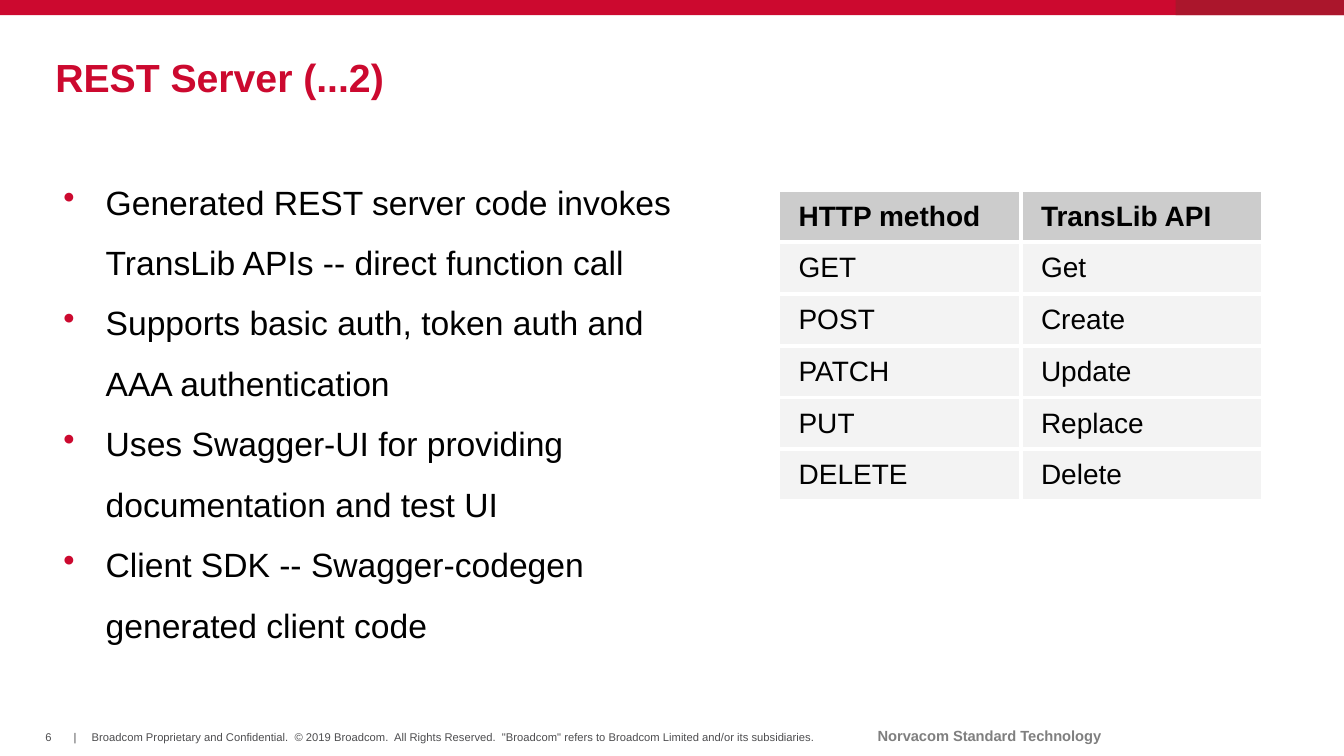
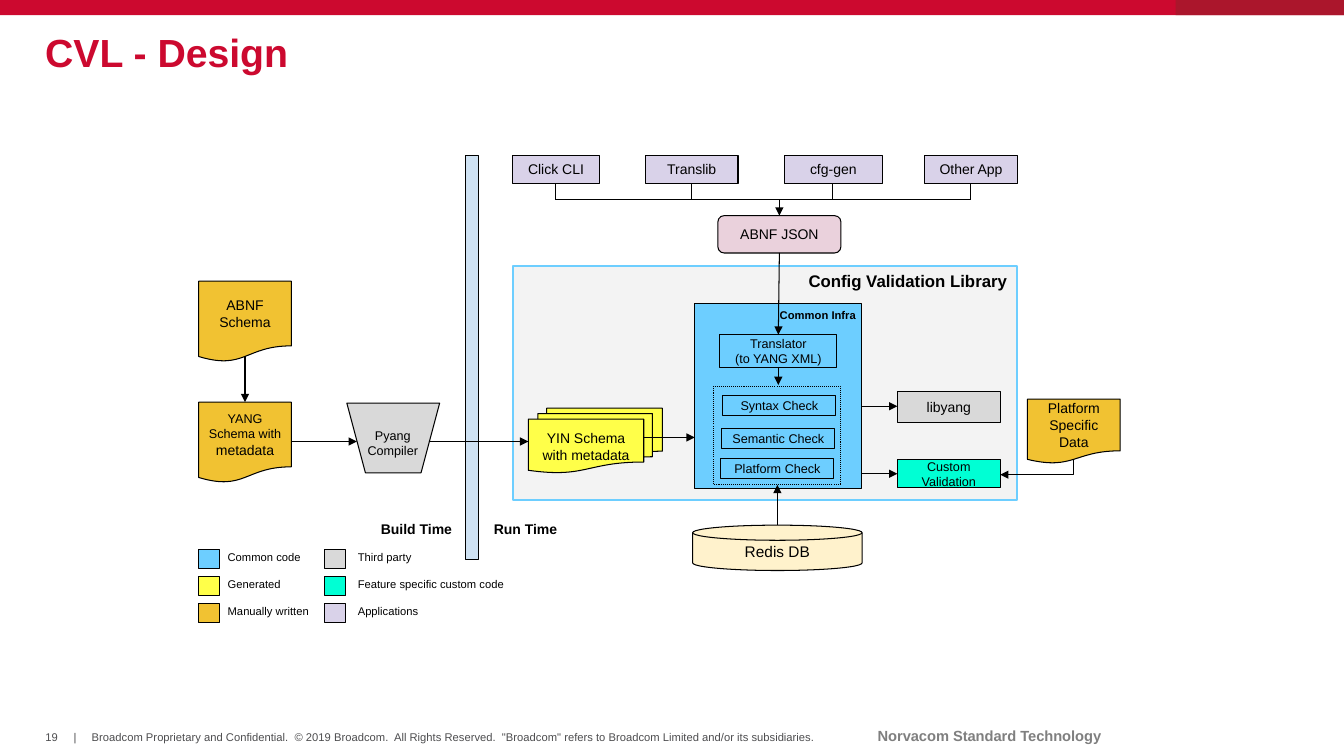
from dataclasses import dataclass

from lxml.etree import SubElement
from pptx import Presentation
from pptx.dml.color import RGBColor as RGB
from pptx.enum.dml import MSO_LINE
from pptx.enum.shapes import MSO_CONNECTOR as CONN, MSO_SHAPE as SHAPE
from pptx.enum.text import MSO_ANCHOR as ANCHOR, PP_ALIGN as ALIGN
from pptx.oxml.ns import qn
from pptx.util import Pt

PX = 9144


@dataclass(frozen=True)
class Theme:
    """Colours, font and type sizes of the deck."""
    font: str = "Arial"
    red: str = "CC092F"
    dark_red: str = "AB162C"
    black: str = "000000"
    white: str = "FFFFFF"
    footer: str = "4D4D4F"
    tag: str = "7F7F7F"
    head_row: str = "CCCCCC"
    pale: str = "F3F3F3"
    common: str = "6DCEFF"
    generated: str = "FFFF49"
    manual: str = "F1C232"
    third: str = "D9D9D9"
    custom: str = "00FFD4"
    app: str = "D9D2E9"
    divider: str = "CFE2F3"
    json: str = "EAD1DC"
    store: str = "FFF2CC"
    title_pt: float = 28
    body_pt: float = 24
    table_pt: float = 20
    panel_pt: float = 12
    store_pt: float = 11
    tag_pt: float = 10.5
    node_pt: float = 10
    small_pt: float = 9
    tiny_pt: float = 8


T = Theme()


@dataclass(frozen=True)
class Box:
    """A rectangle in px that can place others inside itself."""
    x: int
    y: int
    w: int
    h: int

    def sub(self, dx, dy, w, h):
        """Return a box offset from this one's corner."""
        return Box(self.x + dx, self.y + dy, w, h)

    def emu(self):
        """Return left, top, width and height in EMU."""
        return [v * PX for v in (self.x, self.y, self.w, self.h)]


def style(font, size, color=T.black, bold=False):
    """Apply the deck font to a run or paragraph font."""
    font.name, font.size, font.bold = T.font, Pt(size), bold
    font.color.rgb = RGB.from_string(color)


def write(sp, text, size, color=T.black, bold=False, align=ALIGN.LEFT,
          anchor=ANCHOR.TOP, ins=(10, 10, 10, 10)):
    """Fill a shape with styled text."""
    tf = sp.text_frame
    tf.text = text
    tf.word_wrap = True
    tf.vertical_anchor = anchor
    tf.margin_left, tf.margin_top, tf.margin_right, tf.margin_bottom = [v * PX for v in ins]
    for p in tf.paragraphs:
        p.alignment = align
        for r in p.runs:
            style(r.font, size, color, bold)
    return tf


def label(s, box, text, size, **kw):
    """Add a text box."""
    return write(s.shapes.add_textbox(*box.emu()), text, size, **kw)


def shape(s, box, fill, kind=SHAPE.RECTANGLE, line=T.black, width=0.75):
    """Add a filled preset shape with an optional outline."""
    sp = s.shapes.add_shape(kind, *box.emu())
    sp.shadow.inherit = False
    sp.fill.solid()
    sp.fill.fore_color.rgb = RGB.from_string(fill)
    if line:
        sp.line.color.rgb = RGB.from_string(line)
        sp.line.width = Pt(width)
    else:
        sp.line.fill.background()
    return sp


def node(s, box, text, fill, size=T.node_pt, kind=SHAPE.RECTANGLE, anchor=ANCHOR.MIDDLE):
    """Add a shape with centred text."""
    return write(shape(s, box, fill, kind), text, size, align=ALIGN.CENTER, anchor=anchor)


def link(s, box, x1, y1, x2, y2, end="tailEnd", bent=False):
    """Draw a connector between two points relative to the box."""
    pts = (box.x + x1, box.y + y1, box.x + x2, box.y + y2)
    c = s.shapes.add_connector(CONN.ELBOW if bent else CONN.STRAIGHT, *[v * PX for v in pts])
    c.line.color.rgb = RGB.from_string(T.black)
    c.line.width = Pt(0.75)
    pr = c.element.spPr
    if bent:
        pr.find(qn("a:prstGeom")).set("prst", "bentConnector2")
    if end:
        SubElement(pr.find(qn("a:ln")), qn("a:" + end), type="triangle")
    SubElement(pr, qn("a:effectLst"))


def bands(s, box):
    """Draw the two-tone band along the top."""
    shape(s, box, T.red, line=None)
    shape(s, box.sub(box.w - 167, 0, 167, box.h), T.dark_red, line=None)


def footer(s, box, number):
    """Write the page number, legal line and tag."""
    legal = ('Broadcom Proprietary and Confidential.  © 2019 Broadcom.  All Rights Reserved.  '
             '"Broadcom" refers to Broadcom Limited and/or its subsidiaries.')
    flat = (0, 0, 0, 0)
    for dx, w, text, anchor in ((0, 14, str(number), ANCHOR.MIDDLE),
                                (28, 4, "|", ANCHOR.MIDDLE), (46, 723, legal, ANCHOR.TOP)):
        label(s, box.sub(dx, 4, w, 13), text, T.tiny_pt, color=T.footer, anchor=anchor, ins=flat)
    label(s, box.sub(753, 0, 367, 18), "Norvacom Standard Technology", T.tag_pt,
          color=T.tag, bold=True, align=ALIGN.CENTER, ins=flat)


def page(prs, title, box, number):
    """Add a blank slide with band, footer and title."""
    s = prs.slides.add_slide(prs.slide_layouts[6])
    bands(s, Box(0, 0, 1333, 15))
    footer(s, Box(45, 721, 1120, 18), number)
    tf = label(s, box, title, T.title_pt, color=T.red, bold=True, anchor=ANCHOR.MIDDLE)
    tf.paragraphs[0].line_spacing = 0.85
    return s


def bullets(s, box, items):
    """Write a bulleted list with red dots."""
    tf = label(s, box, "\n".join(items), T.body_pt)
    for p in tf.paragraphs:
        pr = p._p.get_or_add_pPr()
        pr.set("marL", str(50 * PX))
        pr.set("indent", str(-42 * PX))
        SubElement(SubElement(pr, qn("a:buClr")), qn("a:srgbClr"), val=T.red)
        SubElement(pr, qn("a:buChar"), char="•")
        p.line_spacing = 1.5


def border(cell):
    """Give a cell white borders on all sides."""
    pr = cell._tc.get_or_add_tcPr()
    for side in ("lnL", "lnR", "lnT", "lnB"):
        ln = SubElement(pr, qn("a:" + side), w=str(Pt(3)))
        SubElement(SubElement(ln, qn("a:solidFill")), qn("a:srgbClr"), val=T.white)


def table(s, box, rows):
    """Add a table with a grey header row."""
    tbl = s.shapes.add_table(len(rows), len(rows[0]), *box.emu()).table
    tbl.horz_banding = False
    for row in tbl.rows:
        row.height = box.h // len(rows) * PX
    for i, values in enumerate(rows):
        for j, value in enumerate(values):
            cell = tbl.cell(i, j)
            border(cell)
            cell.fill.solid()
            cell.fill.fore_color.rgb = RGB.from_string(T.pale if i else T.head_row)
            cell.text_frame.text = value
            cell.vertical_anchor = ANCHOR.MIDDLE
            cell.margin_left, cell.margin_right = 20 * PX, 10 * PX
            cell.margin_top = cell.margin_bottom = 9 * PX
            style(cell.text_frame.paragraphs[0].runs[0].font, T.table_pt, bold=i == 0)


def apps(s, box):
    """Draw the calling applications joined to the JSON node."""
    callers = (("Click CLI", 0, 87), ("Translib", 132, 92), ("cfg-gen", 270, 97), ("Other App", 409, 92))
    centres = [dx + w // 2 for _, dx, w in callers]
    for (text, dx, w), cx in zip(callers, centres):
        node(s, box.sub(dx, 0, w, 28), text, T.app)
        link(s, box, cx, 28, cx, 44, end=None)
    link(s, box, centres[0], 44, centres[-1], 44, end=None)
    link(s, box, 265, 44, 265, 60)
    node(s, box.sub(204, 60, 122, 37), "ABNF JSON", T.json, kind=SHAPE.ROUNDED_RECTANGLE)


def infra(s, box):
    """Draw the common infrastructure with its checks."""
    write(shape(s, box, T.common), "Common Infra", T.tiny_pt, bold=True,
          align=ALIGN.RIGHT, ins=(10, 5, 5, 10))
    node(s, box.sub(25, 31, 116, 33), "Translator\n(to YANG XML)", T.common, T.small_pt)
    shape(s, box.sub(19, 82, 126, 98), T.common).line.dash_style = MSO_LINE.ROUND_DOT
    for dx, dy, name in ((28, 91, "Syntax"), (27, 124, "Semantic"), (26, 154, "Platform")):
        node(s, box.sub(dx, dy, 112, 20), name + " Check", T.common, T.small_pt)
    link(s, box, 84, -50, 83, 31)
    link(s, box, 83, 63, 83, 81)
    link(s, box, 82, 220, 82, 180)


def library(s, box):
    """Draw the validation library, its helpers and its data store."""
    write(shape(s, box, T.pale, line=T.common, width=1.5), "Config Validation Library",
          T.panel_pt, bold=True, align=ALIGN.RIGHT, ins=(10, 5, 10, 10))
    node(s, box.sub(178, 257, 168, 45), "Redis DB", T.store, T.store_pt, SHAPE.FLOWCHART_MAGNETIC_DISK)
    infra(s, box.sub(180, 37, 165, 184))
    node(s, box.sub(381, 124, 102, 31), "libyang", T.third)
    node(s, box.sub(381, 192, 102, 28), "Custom Validation", T.custom, T.small_pt)
    for y in (139, 206):
        link(s, box, 345, y, 381, y)
    node(s, box.sub(510, 132, 92, 64), "Platform Specific Data", T.manual, kind=SHAPE.FLOWCHART_DOCUMENT)
    link(s, box, 483, 207, 556, 191, end="headEnd", bent=True)


def build(s, box):
    """Draw the schema build flow up to the generated files."""
    node(s, box.sub(0, 0, 92, 80), "ABNF Schema", T.manual, kind=SHAPE.FLOWCHART_DOCUMENT)
    tf = node(s, box.sub(0, 120, 92, 80), "YANG Schema with ", T.manual, T.small_pt,
              SHAPE.FLOWCHART_DOCUMENT)
    r = tf.paragraphs[0].add_run()
    r.text = "metadata"
    style(r.font, T.node_pt)
    shape(s, box.sub(265, -125, 13, 401), T.divider)
    shape(s, box.sub(147, 121, 92, 69), T.third, SHAPE.FLOWCHART_MANUAL_OPERATION)
    label(s, box.sub(153, 135, 79, 48), "Pyang Compiler", T.small_pt, align=ALIGN.CENTER)
    node(s, box.sub(327, 126, 133, 64), "YIN Schema with metadata", T.generated,
         kind=SHAPE.FLOWCHART_MULTIDOCUMENT, anchor=ANCHOR.TOP)
    for ends in ((46, 74, 46, 120), (92, 159, 157, 159), (228, 159, 327, 159), (441, 155, 492, 155)):
        link(s, box, *ends)
    for dx, text in ((171, "Build Time"), (283, "Run Time")):
        label(s, box.sub(dx, 229, 107, 20), text, T.node_pt, bold=True)


def legend(s, box):
    """Draw the colour key as two columns of swatches."""
    columns = (
        (0, 19, 106, (("Common code", T.common), ("Generated", T.generated), ("Manually written", T.manual))),
        (125, 23, 199, (("Third party", T.third), ("Feature specific custom code", T.custom),
                        ("Applications", T.app))))
    for dx, gap, w, keys in columns:
        for i, (text, color) in enumerate(keys):
            shape(s, box.sub(dx, 27 * i, 21, 19), color)
            label(s, box.sub(dx + gap, 27 * i - 6, w, 26), text, T.tiny_pt)


def rest_slide(prs):
    """Build the REST server slide."""
    s = page(prs, "REST Server (...2)", Box(45, 60, 1243, 40), 6)
    bullets(s, Box(45, 150, 672, 497), (
        "Generated REST server code invokes TransLib APIs -- direct function call",
        "Supports basic auth, token auth and AAA authentication",
        "Uses Swagger-UI for providing documentation and test UI",
        "Client SDK -- Swagger-codegen generated client code"))
    table(s, Box(772, 189, 481, 306), (
        ("HTTP method", "TransLib API"), ("GET", "Get"), ("POST", "Create"),
        ("PATCH", "Update"), ("PUT", "Replace"), ("DELETE", "Delete")))


def design_slide(prs):
    """Build the CVL design slide."""
    s = page(prs, "CVL - Design", Box(35, 35, 1243, 40), 19)
    apps(s, Box(508, 154, 501, 97))
    library(s, Box(509, 264, 500, 232))
    build(s, Box(197, 279, 460, 276))
    legend(s, Box(197, 545, 347, 73))


def main():
    """Build and save the deck."""
    prs = Presentation()
    prs.slide_width, prs.slide_height = 1333 * PX, 750 * PX
    rest_slide(prs)
    design_slide(prs)
    prs.save("out.pptx")


if __name__ == "__main__":
    main()
